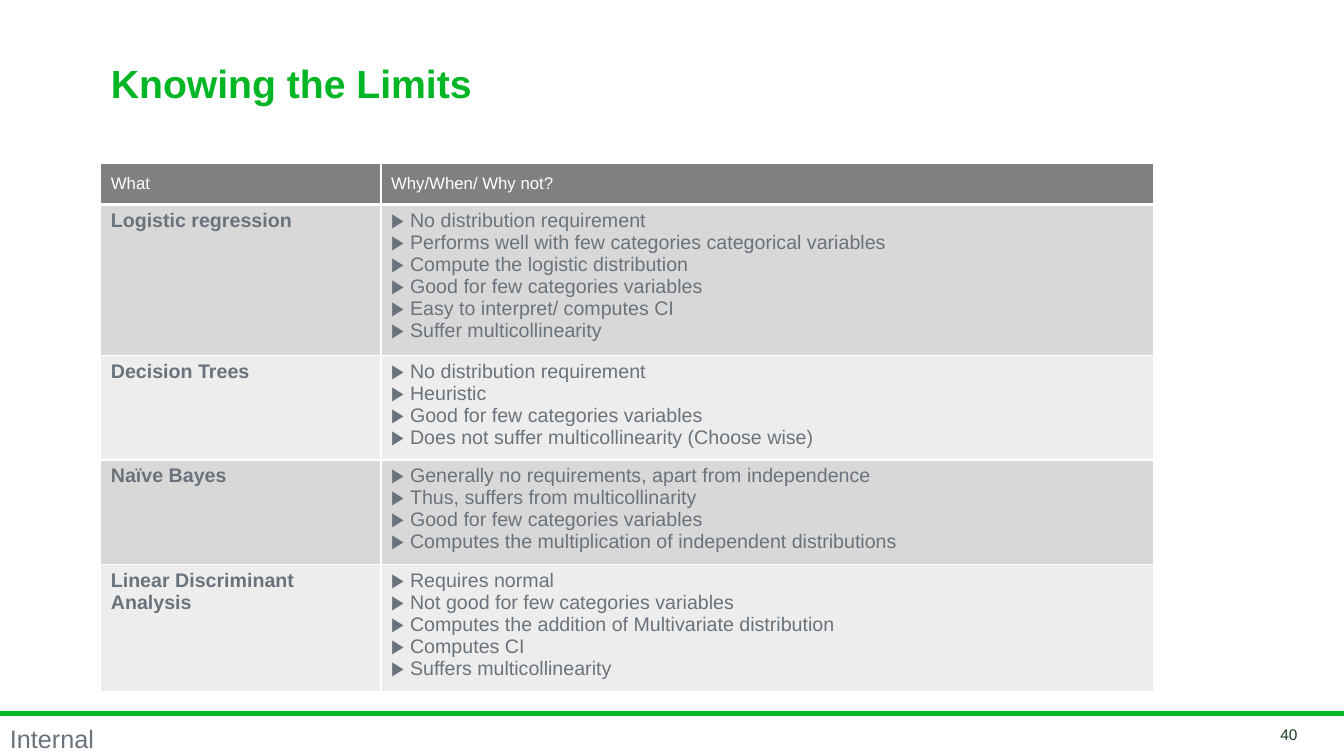
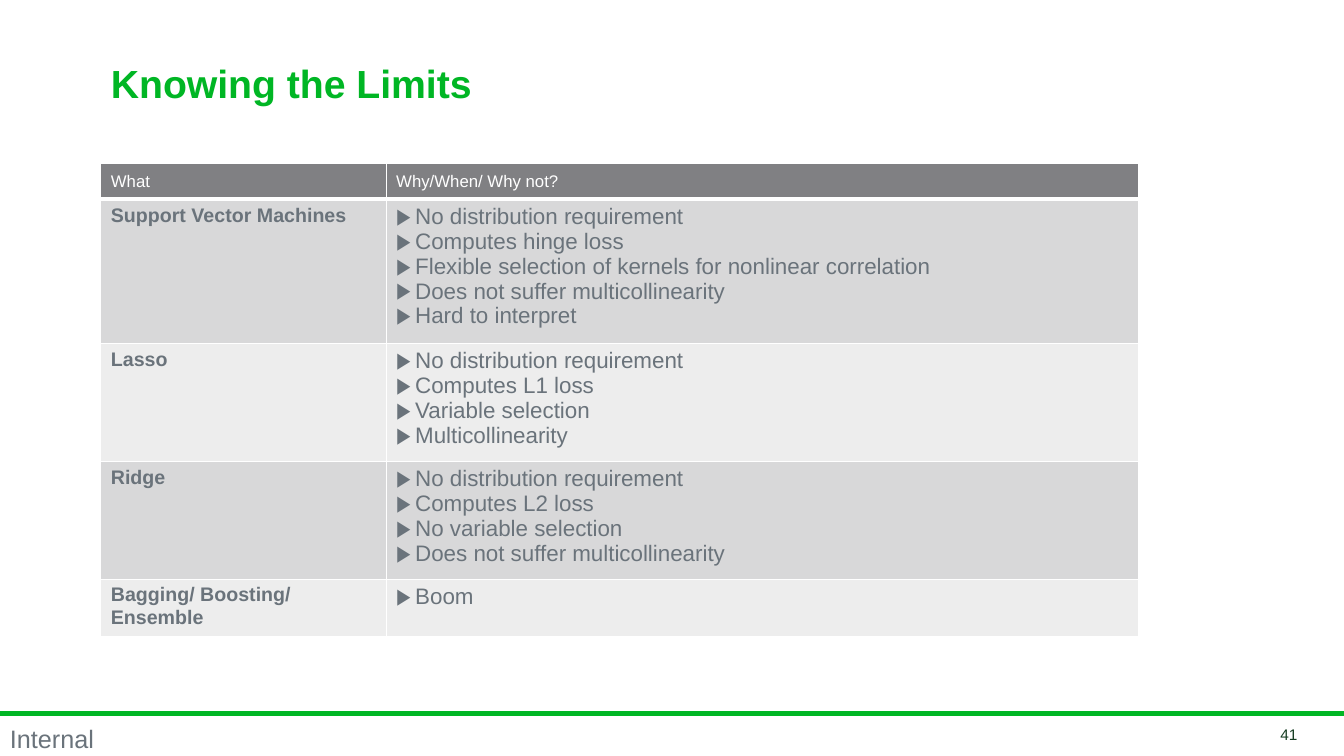
from lxml.etree import SubElement
from pptx import Presentation
from pptx.dml.color import RGBColor
from pptx.enum.shapes import MSO_CONNECTOR
from pptx.enum.text import MSO_ANCHOR, MSO_AUTO_SIZE, PP_ALIGN
from pptx.oxml.ns import qn
from pptx.util import Cm, Pt

GREEN, DARK_GREEN, GREY, WHITE = "00B624", "163D22", "6A737B", "FFFFFF"
HEADER_FILL, BAND_FILLS = "808083", ("D8D8D9", "EDEDED")
TITLE = "Knowing the Limits"
HEADINGS = ("What", "Why/When/ Why not?")

CLASSIFIERS = [
    ("Logistic regression", [
        "No distribution requirement",
        "Performs well with few categories categorical variables",
        "Compute the logistic distribution",
        "Good for few categories variables",
        "Easy to interpret/ computes CI",
        "Suffer multicollinearity"]),
    ("Decision Trees", [
        "No distribution requirement",
        "Heuristic",
        "Good for few categories variables",
        "Does not suffer multicollinearity (Choose wise)"]),
    ("Naïve Bayes", [
        "Generally no requirements, apart from independence",
        "Thus, suffers from multicollinarity",
        "Good for few categories variables",
        "Computes the multiplication of independent distributions"]),
    ("Linear Discriminant Analysis", [
        "Requires normal",
        "Not good for few categories variables",
        "Computes the addition of Multivariate distribution",
        "Computes CI",
        "Suffers multicollinearity"]),
]

MARGIN_METHODS = [
    ("Support Vector Machines", [
        "No distribution requirement",
        "Computes hinge loss",
        "Flexible selection of kernels for nonlinear correlation",
        "Does not suffer multicollinearity",
        "Hard to interpret"]),
    ("Lasso", [
        "No distribution requirement",
        "Computes L1 loss",
        "Variable selection",
        "Multicollinearity"]),
    ("Ridge", [
        "No distribution requirement",
        "Computes L2 loss",
        "No variable selection",
        "Does not suffer multicollinearity"]),
    ("Bagging/ Boosting/ Ensemble", ["Boom"]),
]


def color(value):
    """Turn a hex string into a colour."""
    return RGBColor.from_string(value)


class Deck:
    """Holds the presentation, its style and the current slide."""

    def __init__(self):
        """Start an empty widescreen presentation."""
        self.presentation = Presentation()
        self.presentation.slide_width = Cm(33.87)
        self.presentation.slide_height = Cm(19.05)
        self.slide = None

    def style(self, paragraph, size, shade, bold=False):
        """Set the font of a paragraph."""
        font = paragraph.font
        font.name, font.size, font.bold = "Arial", Pt(size), bold
        font.color.rgb = color(shade)

    def add_slide(self, title, number):
        """Add a slide with its title and footer."""
        layout = self.presentation.slide_layouts[5]
        self.slide = self.presentation.slides.add_slide(layout)
        self.footer(number)
        self.title(title)

    def title(self, text):
        """Place and format the title."""
        shape = self.slide.shapes.title
        shape.left, shape.top = Cm(2.54), Cm(1.07)
        shape.width, shape.height = Cm(25.12), Cm(2.24)
        frame = shape.text_frame
        frame.text = text
        frame.word_wrap = True
        frame.auto_size = MSO_AUTO_SIZE.NONE
        frame.vertical_anchor = MSO_ANCHOR.MIDDLE
        paragraph = frame.paragraphs[0]
        paragraph.alignment = PP_ALIGN.LEFT
        paragraph.line_spacing = 0.85
        self.style(paragraph, 28, GREEN, True)

    def footer(self, number):
        """Draw the rule, the classification and the slide number."""
        self.rule(17.98)
        label = self.text("Internal", (0, 18.16, 2.64, 0.99), 18, GREY)
        label.word_wrap = False
        label.paragraphs[0].line_spacing = 0.95
        page = self.text(str(number), (30.38, 18.26, 2.57, 0.51), 11, DARK_GREEN)
        page.vertical_anchor = MSO_ANCHOR.MIDDLE
        page.paragraphs[0].alignment = PP_ALIGN.RIGHT

    def rule(self, top):
        """Draw a green line across the slide."""
        line = self.slide.shapes.add_connector(
            MSO_CONNECTOR.STRAIGHT, 0, Cm(top), self.presentation.slide_width, Cm(top))
        line.line.color.rgb = color(GREEN)
        line.line.width = Pt(3.5)
        SubElement(line._element.spPr, qn("a:effectLst"))

    def text(self, words, box, size, shade):
        """Add a one-line text box and return its frame."""
        frame = self.slide.shapes.add_textbox(*map(Cm, box)).text_frame
        frame.word_wrap = True
        frame.text = words
        self.style(frame.paragraphs[0], size, shade)
        return frame

    def bullet(self, paragraph):
        """Give a paragraph a hanging triangle bullet."""
        properties = paragraph._p.get_or_add_pPr()
        properties.set("marL", str(Cm(0.48)))
        properties.set("indent", str(-Cm(0.48)))
        SubElement(properties, qn("a:buFont"), typeface="Arial")
        SubElement(properties, qn("a:buChar"), char="▶")

    def borders(self, cell, bottom):
        """Draw white borders round a cell."""
        properties = cell._tc.get_or_add_tcPr()
        for side, width in (("L", 1), ("R", 1), ("T", 1), ("B", bottom)):
            line = SubElement(properties, qn(f"a:ln{side}"), w=str(Pt(width)))
            fill = SubElement(line, qn("a:solidFill"))
            SubElement(fill, qn("a:srgbClr"), val=WHITE)

    def cell(self, cell, lines, fill, size, shade=GREY, bold=False, bulleted=False, bottom=1):
        """Fill one table cell."""
        self.borders(cell, bottom)
        cell.fill.solid()
        cell.fill.fore_color.rgb = color(fill)
        cell.text = "\n".join(lines)
        for paragraph in cell.text_frame.paragraphs:
            if bulleted:
                self.bullet(paragraph)
            self.style(paragraph, size, shade, bold)

    def table(self, methods, widths, heights, size):
        """Add a table of methods with their bulleted limits."""
        table = self.slide.shapes.add_table(
            len(heights), len(widths), Cm(2.54), Cm(4.11),
            Cm(sum(widths)), Cm(sum(heights))).table
        table.first_row = table.horz_banding = False
        for column, width in zip(table.columns, widths):
            column.width = Cm(width)
        for row, height in zip(table.rows, heights):
            row.height = Cm(height)
        for index, heading in enumerate(HEADINGS):
            header = table.cell(0, index)
            self.cell(header, [heading], HEADER_FILL, 12, WHITE, bottom=3)
            header.vertical_anchor = MSO_ANCHOR.MIDDLE
        for index, (method, limits) in enumerate(methods):
            fill = BAND_FILLS[index % 2]
            self.cell(table.cell(index + 1, 0), [method], fill, 14, bold=True)
            self.cell(table.cell(index + 1, 1), limits, fill, size, bulleted=True)


def main():
    """Build both slides and save them."""
    deck = Deck()
    deck.add_slide(TITLE, 40)
    deck.table(CLASSIFIERS, (7.06, 19.48), (1.04, 3.59, 2.47, 2.61, 3.02), 14)
    deck.add_slide(TITLE, 41)
    deck.table(MARGIN_METHODS, (7.19, 18.97), (0.91, 3.64, 2.96, 2.97, 1.42), 16)
    deck.presentation.save("out.pptx")


if __name__ == "__main__":
    main()
